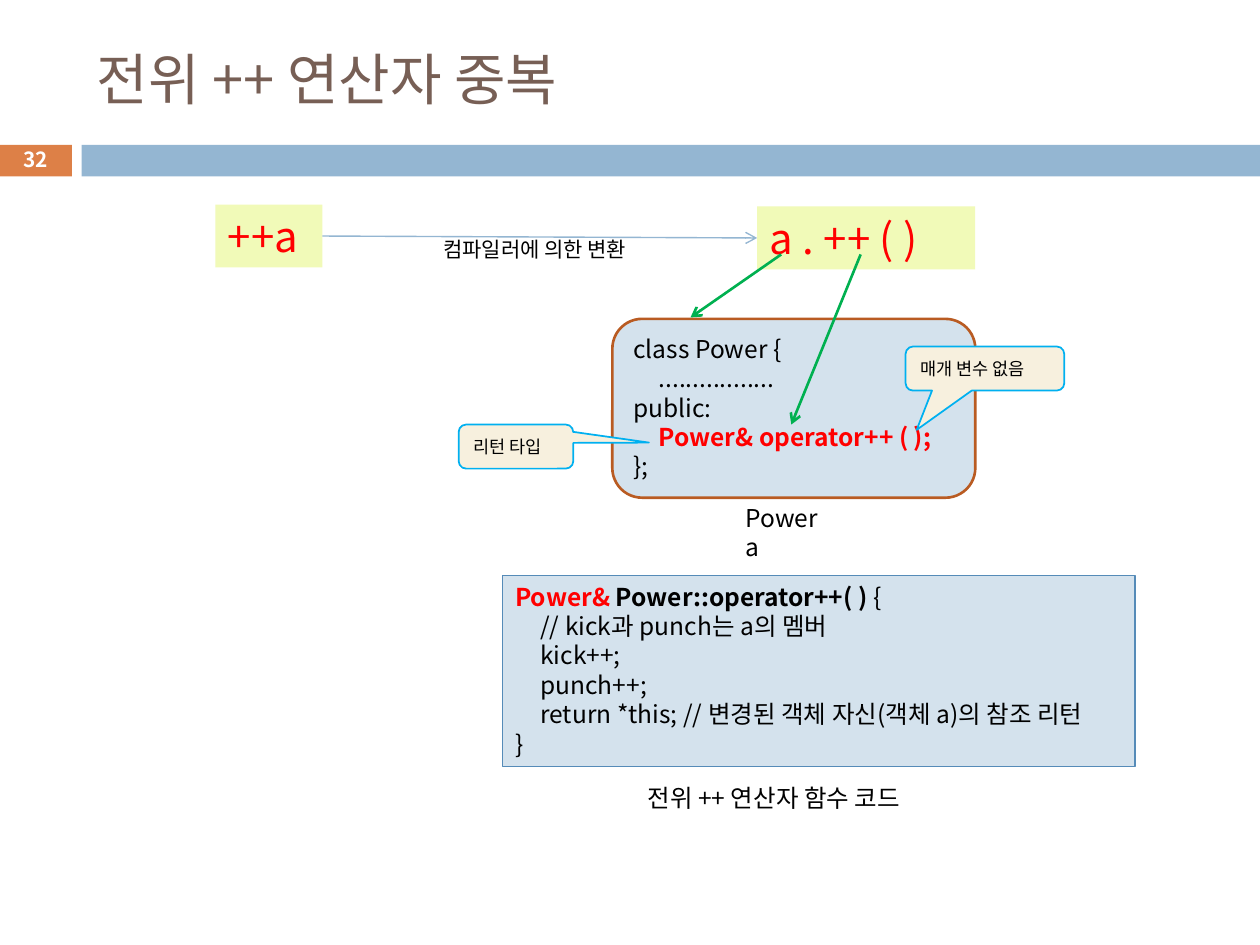
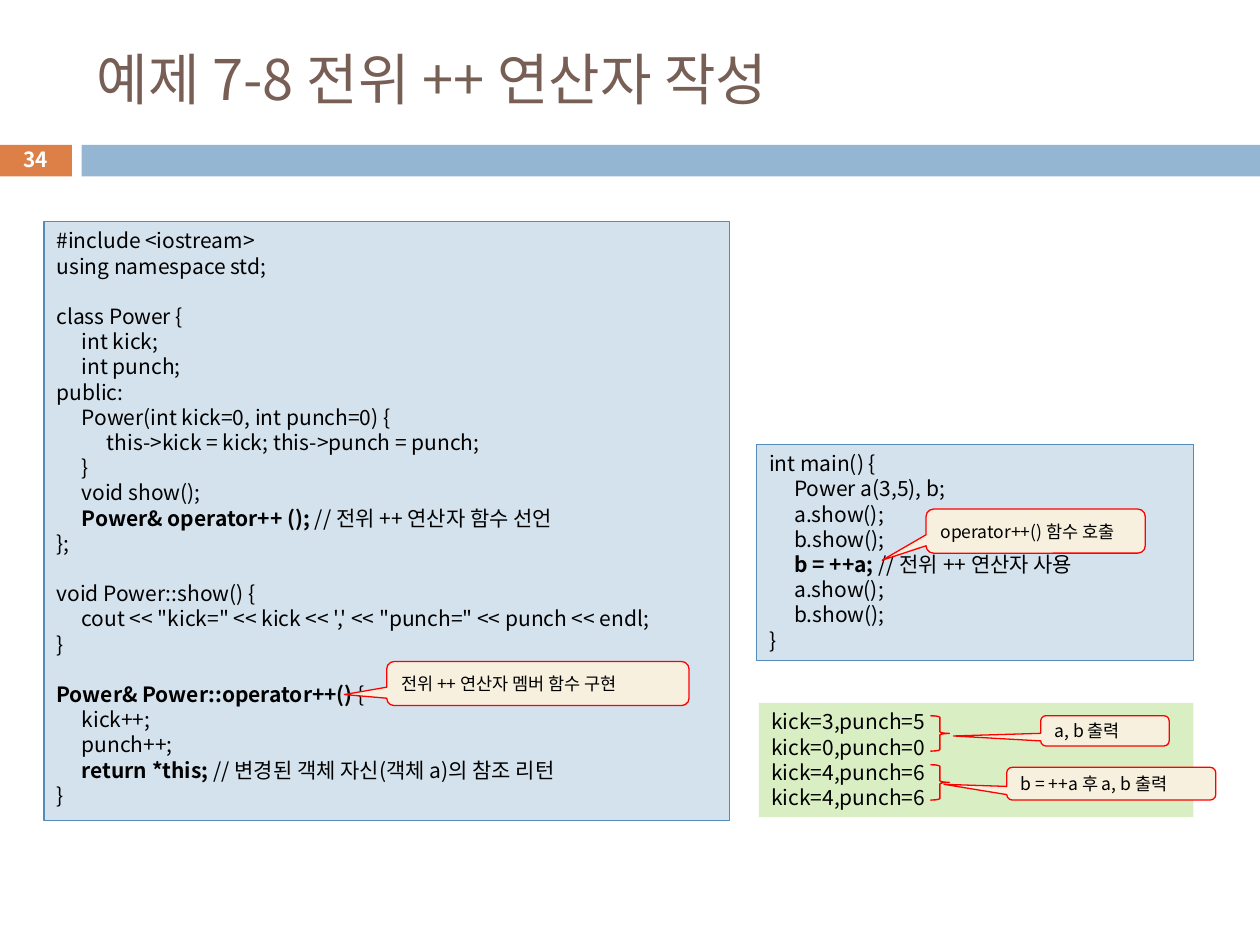
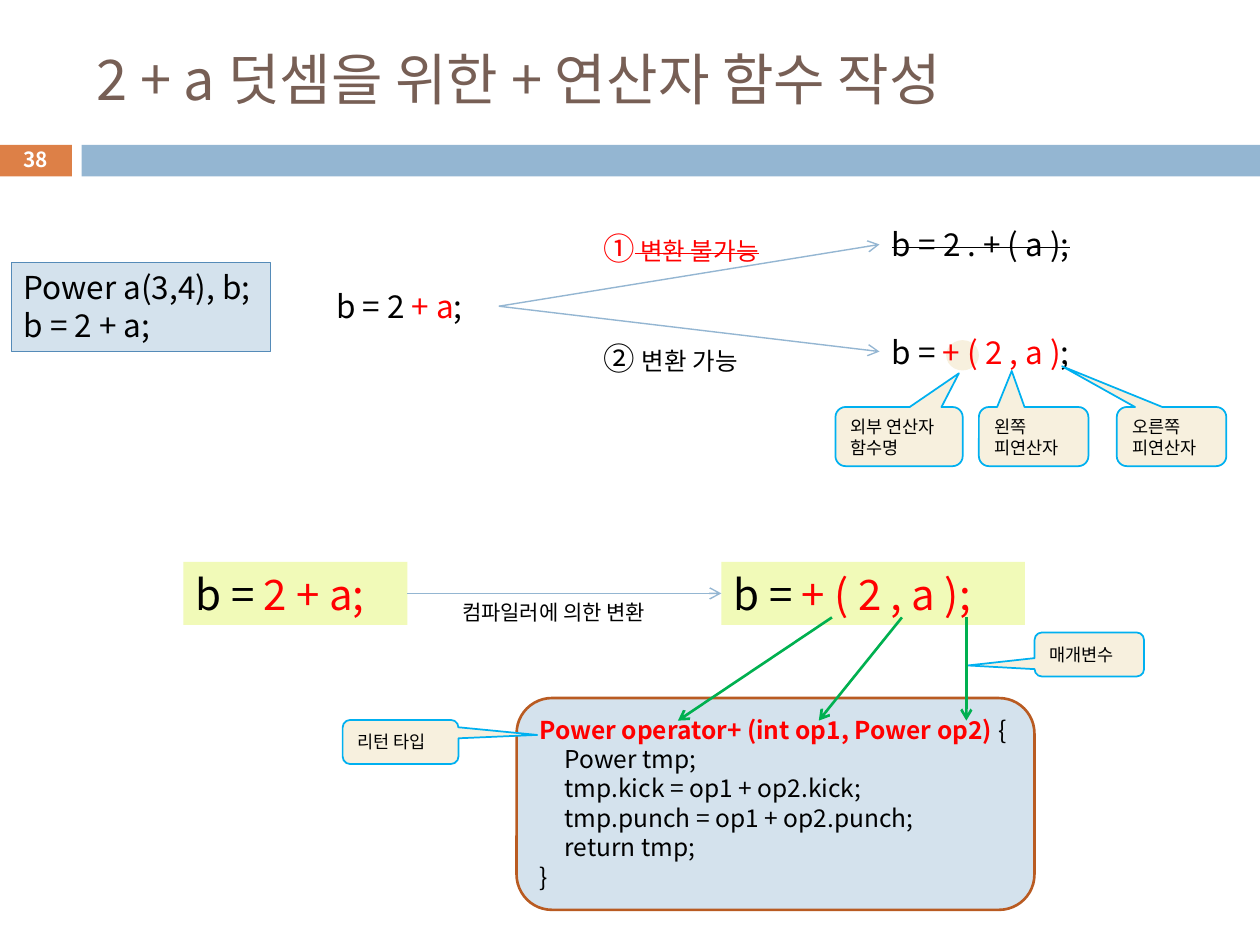
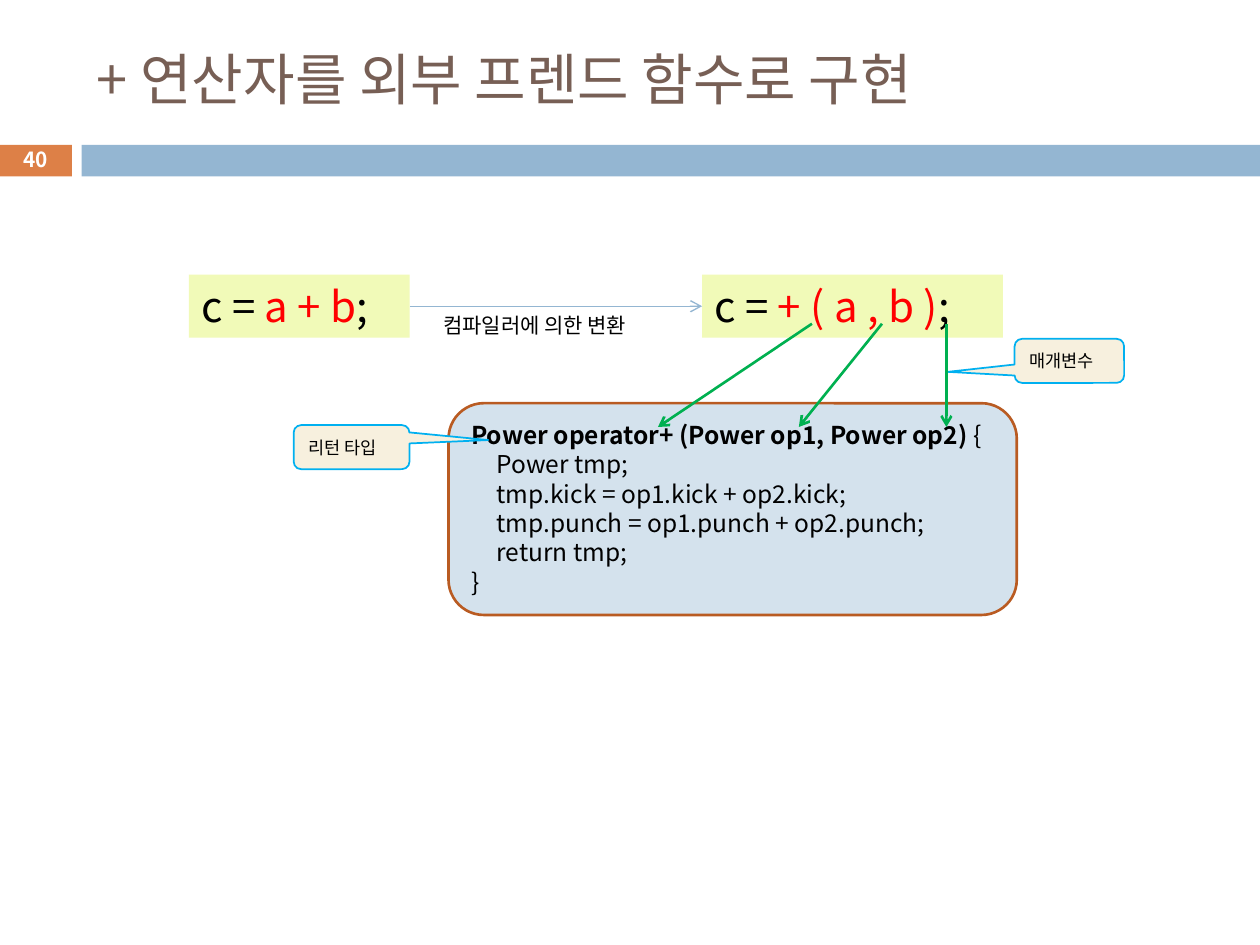
from lxml import etree
from pptx import Presentation
from pptx.dml.color import RGBColor
from pptx.enum import shapes, text
from pptx.oxml import ns
from pptx.util import Pt

FONT = "Noto Sans CJK KR"
BLACK, RED_HEX, BLUE, GREEN = "000000", "FF0000", "94B6D2", "00B050"
RED = {"color": RED_HEX}
BOLD = {"bold": True}
RED_BOLD = {**RED, **BOLD}
STRIKE = {"strike": True}
KIND = shapes.MSO_SHAPE
TOP, MIDDLE = text.MSO_ANCHOR.TOP, text.MSO_ANCHOR.MIDDLE
CENTER = text.PP_ALIGN.CENTER
INDENT = 14.4
LEADING = 1.2
CODE = {"fill": "D4E2ED", "line": "558BB8", "width": 0.75}
CLASS = {"kind": KIND.ROUNDED_RECTANGLE, "fill": "D4E2ED", "line": "B95B22", "width": 1.5}


def rgb(value):
    return RGBColor.from_string(value)


def sub(parent, tag, **attrs):
    return etree.SubElement(parent, ns.qn(tag), attrs)


class Deck:
    """Draws lecture slides in one shared style."""

    def __init__(self):
        self.prs = Presentation()
        self.prs.slide_width, self.prs.slide_height = Pt(720), Pt(540)
        self.s = None

    def slide(self, title, number):
        self.s = self.prs.slides.add_slide(self.prs.slide_layouts[6])
        self.shape((-0.7, 82.8, 41.8, 18), fill="DD8047")
        self.shape((46.6, 82.8, 673.4, 18), fill=BLUE)
        self.label((48.2, 18, 642.2, 53.3), [title], 32, color="775F55", anchor=MIDDLE)
        self.label((-0.7, 81.4, 41.8, 19.4), [number], 11.9, anchor=MIDDLE,
                   align=CENTER, color="FFFFFF", bold=True)

    def shape(self, at, kind=KIND.RECTANGLE, fill=None, line=None, width=0.75):
        sp = self.s.shapes.add_shape(kind, *map(Pt, at))
        sp.shadow.inherit = False
        if fill:
            sp.fill.solid()
            sp.fill.fore_color.rgb = rgb(fill)
        else:
            sp.fill.background()
        if line:
            sp.line.color.rgb = rgb(line)
            sp.line.width = Pt(width)
        else:
            sp.line.fill.background()
        return sp

    def add_words(self, p, words, fmt):
        r = p.add_run()
        r.text = words
        fmt = dict(fmt)
        r.font.color.rgb = rgb(fmt.pop("color"))
        rpr = r._r.get_or_add_rPr()
        if fmt.pop("strike", False):
            rpr.set("strike", "sngStrike")
        for name, value in {"name": FONT, **fmt}.items():
            setattr(r.font, name, value)
        sub(rpr, "a:ea", typeface=FONT)

    def add_lines(self, sp, lines, size, anchor=TOP, align=text.PP_ALIGN.LEFT, **fmt):
        """Fill a shape: tabs indent a line, an empty line becomes spacing."""
        tf = sp.text_frame
        frame = {"word_wrap": True, "vertical_anchor": anchor, "margin_left": Pt(7.2),
                 "margin_right": Pt(7.2), "margin_top": Pt(3.6), "margin_bottom": Pt(3.6)}
        for name, value in frame.items():
            setattr(tf, name, value)
        p, gap = tf.paragraphs[0], 0
        for line in lines:
            if not line:
                gap += size * LEADING
                continue
            if p.runs:
                p = tf.add_paragraph()
            runs = [(line, {})] if isinstance(line, str) else line
            depth = len(runs[0][0]) - len(runs[0][0].lstrip("\t"))
            spacing = {"alignment": align, "line_spacing": Pt(size * LEADING),
                       "space_before": Pt(gap)}
            for name, value in spacing.items():
                setattr(p, name, value)
            ppr = p._p.get_or_add_pPr()
            ppr.set("marL", str(Pt(INDENT * depth)))
            ppr.set("indent", "0")
            for words, extra in runs:
                self.add_words(p, words.lstrip("\t"),
                               {"color": BLACK, "size": Pt(size), **fmt, **extra})
            gap = 0
        return sp

    def label(self, at, lines, size, **fmt):
        return self.add_lines(self.s.shapes.add_textbox(*map(Pt, at)), lines, size, **fmt)

    def box(self, at, lines, size, **look):
        return self.add_lines(self.shape(at, **look), lines, size)

    def formula(self, at, line):
        return self.box(at, [line], 24, fill="F1FAB8")

    def callout(self, at, tip, *lines, line="00B0F0", width=1):
        sp = self.shape(at, KIND.ROUNDED_RECTANGULAR_CALLOUT, "F7F0DE", line, width)
        for i, value in enumerate((*tip, 0.17)):
            sp.adjustments[i] = value
        self.add_lines(sp, lines, 10, anchor=MIDDLE)

    def note(self, at, tip, line):
        self.callout(at, tip, line, line=RED_HEX, width=0.75)

    def arrow(self, start, end, color=GREEN, width=1.5):
        c = self.s.shapes.add_connector(shapes.MSO_CONNECTOR.STRAIGHT, *map(Pt, (*start, *end)))
        c.line.color.rgb = rgb(color)
        c.line.width = Pt(width)
        sub(c._element.spPr.find(ns.qn("a:ln")), "a:tailEnd", type="arrow")
        sub(c._element.spPr, "a:effectLst")
        return c

    def link(self, left, right):
        c = self.arrow((0, 0), (1, 1), BLUE, 0.79)
        c.begin_connect(left, 3)
        c.end_connect(right, 1)

    def conversion(self, left, right, x, y):
        self.link(left, right)
        self.label((x, y, 148.3, 21.6), ["컴파일러에 의한 변환"], 12)

    def operator_call(self, x, y, code_at, code, return_x):
        """Draw the operator function with arrows from the call at x, y."""
        self.box(code_at, code, 14, **CLASS)
        self.callout((return_x, code_at[1] + 12.5, 66.2, 25.2), (1.18, -0.16), "리턴 타입")
        self.callout((x + 115.8, y + 8.6, 62.6, 25.2), (-1.11, 0.25), "매개변수")
        for start, end in ((0, -88), (40, -7.5), (76.8, 76.8)):
            self.arrow((x + start, y), (x + end, y + 59))


def prefix_operator(d):
    d.slide("전위 ++ 연산자 중복", "32")
    d.box((349.9, 182.2, 207.4, 102.2),
          ["class Power {", "\t.................", "public:",
           [("\tPower& operator++ ( );", RED_BOLD)], "};"], 14, **CLASS)
    before = d.formula((123.1, 116.9, 61.2, 36), [("++a", RED)])
    after = d.formula((432.7, 118, 124.6, 36), [("a . ++ ( )", RED)])
    d.conversion(before, after, 246.2, 131.8)
    d.box((287.3, 328.8, 361.4, 109.2),
          [[("Power& ", RED_BOLD), ("Power::operator++( ) ", BOLD), ("{", {})],
           "\t// kick과 punch는 a의 멤버", "\tkick++;", "\tpunch++;",
           "\treturn *this; // 변경된 객체 자신(객체 a)의 참조 리턴", "}"], 14, **CODE)
    d.label((419, 283.7, 65.5, 24.5), ["Power a"], 14)
    d.arrow((491.8, 145.4), (452.2, 242.6))
    d.arrow((446.4, 145.4), (394.6, 181.4))
    d.callout((262.1, 242.6, 65.5, 25.2), (1.16, -0.09), "리턴 타입")
    d.callout((517.5, 198, 90.7, 25.2), (-0.43, 1.39), "매개 변수 없음")
    d.label((362.9, 444.2, 181.4, 24.5), ["전위 ++ 연산자 함수 코드"], 14)


def prefix_example(d):
    d.slide("예제 7-8 전위 ++ 연산자 작성", "34")
    d.box((25.2, 126.7, 391.5, 342),
          ["#include <iostream>", "using namespace std;", "",
           "class Power {", "\tint kick;", "\tint punch;", "public:",
           "\tPower(int kick=0, int punch=0) {",
           "\t\tthis->kick = kick; this->punch = punch;", "\t}", "\tvoid show();",
           [("\tPower& operator++ (); ", BOLD), ("// 전위 ++ 연산자 함수 선언", {})], "};", "",
           "void Power::show() {",
           "\tcout << \"kick=\" << kick << ',' << \"punch=\" << punch << endl;", "}", "",
           [("Power& Power::operator++() ", BOLD), ("{", {})], "\tkick++;", "\tpunch++;",
           [("\treturn *this; ", BOLD), ("// 변경된 객체 자신(객체 a)의 참조 리턴", {})], "}"],
          12, **CODE)
    d.box((432.4, 254, 249.5, 123.5),
          ["int main() {", "\tPower a(3,5), b;", "\ta.show();", "\tb.show();",
           [("\tb = ++a; ", BOLD), ("// 전위 ++ 연산자 사용", {})],
           "\ta.show();", "\tb.show();", "}"], 12, **CODE)
    d.box((433.6, 401.6, 248.4, 65.3),
          ["kick=3,punch=5", "kick=0,punch=0", "kick=4,punch=6", "kick=4,punch=6"],
          12, fill="DAEEC4")
    d.note((594.7, 409, 73.4, 17.3), (-1.18, 0.17), "a, b 출력")
    d.note((575.3, 438.5, 119.5, 18.7), (-0.8, 0.02), "b = ++a 후 a, b 출력")
    for y in (409, 437):
        d.shape((531.7, y, 10.8, 20.2), KIND.RIGHT_BRACE, line=RED_HEX, width=0.79)
    d.note((221, 378, 172.8, 25.2), (-0.64, 0.25), "전위 ++ 연산자 멤버 함수 구현")
    d.note((529.2, 290.9, 125.3, 25.2), (-0.7, 0.66), "operator++() 함수 호출")


def int_plus_object(d):
    d.slide("2 + a 덧셈을 위한 + 연산자 함수 작성", "38")
    d.shape((540.7, 194.4, 18.7, 17.3), KIND.OVAL, "F7F0DE")
    member = d.label((502.6, 125.3, 130.3, 28.8), [[("b = 2 . + ( a );", STRIKE)]], 18)
    source = d.label((185, 160.6, 100.1, 28.8), [[("b = 2 ", {}), ("+ a", RED), (";", {})]], 18)
    external = d.label((502.6, 186.5, 139.7, 28.8),
                       [[("b = ", {}), ("+ ( 2 , a )", RED), (";", {})]], 18)
    for target in (member, external):
        d.link(source, target)
    small = {"size": Pt(14)}
    d.label((337.7, 127.4, 110.9, 28.8),
            [[("①", RED), (" 변환 불가능", {**RED, **STRIKE, **small})]], 18)
    d.label((337.7, 190.1, 98.6, 28.8), [[("② ", {}), ("변환 가능", small)]], 18)
    d.callout((477.4, 232.6, 72.7, 33.8), (0.47, -1.07), "외부 연산자 함수명")
    d.callout((559.4, 232.6, 62.6, 33.8), (-0.2, -1.11), "왼쪽", "피연산자")
    d.callout((638.2, 232.6, 62.6, 33.8), (-1, -1.19), "오른쪽", "피연산자")
    d.box((6.5, 149.8, 148.3, 51.1), ["Power a(3,4), b;", "b = 2 + a;"], 18, **CODE)
    before = d.formula((104.8, 321.1, 128, 36), [("b = ", {}), ("2 + a;", RED)])
    after = d.formula((412.2, 321.1, 173.5, 36), [("b = ", {}), ("+ ( 2 , a );", RED)])
    d.conversion(before, after, 257, 339.1)
    d.operator_call(475.4, 352.8, (295.2, 398.9, 295.9, 121),
                    [[("Power operator+ (int op1, Power op2)", RED_BOLD), (" {", {})],
                     "\tPower tmp;", "\ttmp.kick = op1 + op2.kick;",
                     "\ttmp.punch = op1 + op2.punch;", "\treturn tmp;", "}"], 195.8)


def friend_operator(d):
    d.slide("+ 연산자를 외부 프렌드 함수로 구현", "40")
    before = d.formula((108, 157, 126.2, 36), [("c = ", {}), ("a + b", RED), (";", {})])
    after = d.formula((401.2, 157, 172, 36), [("c = ", {}), ("+ ( a , b )", RED), (";", {})])
    d.conversion(before, after, 246.2, 175)
    d.operator_call(464, 185, (256.3, 230.4, 324.7, 121),
                    [[("Power operator+ (Power op1, Power op2) ", BOLD), ("{", {})],
                     "\tPower tmp;", "\ttmp.kick = op1.kick + op2.kick;",
                     "\ttmp.punch = op1.punch + op2.punch;", "\treturn tmp;", "}"], 167.8)


def main():
    d = Deck()
    for build in (prefix_operator, prefix_example, int_plus_object, friend_operator):
        build(d)
    d.prs.save("out.pptx")


if __name__ == "__main__":
    main()
